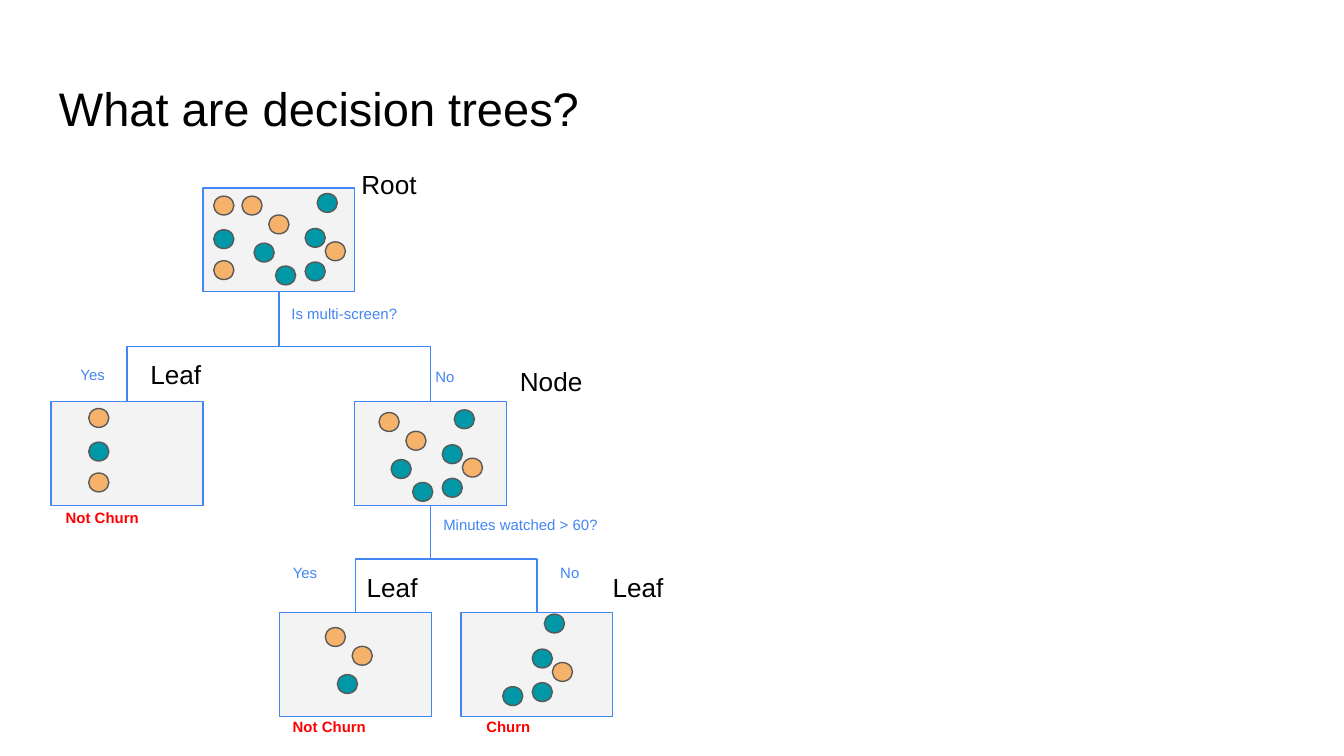
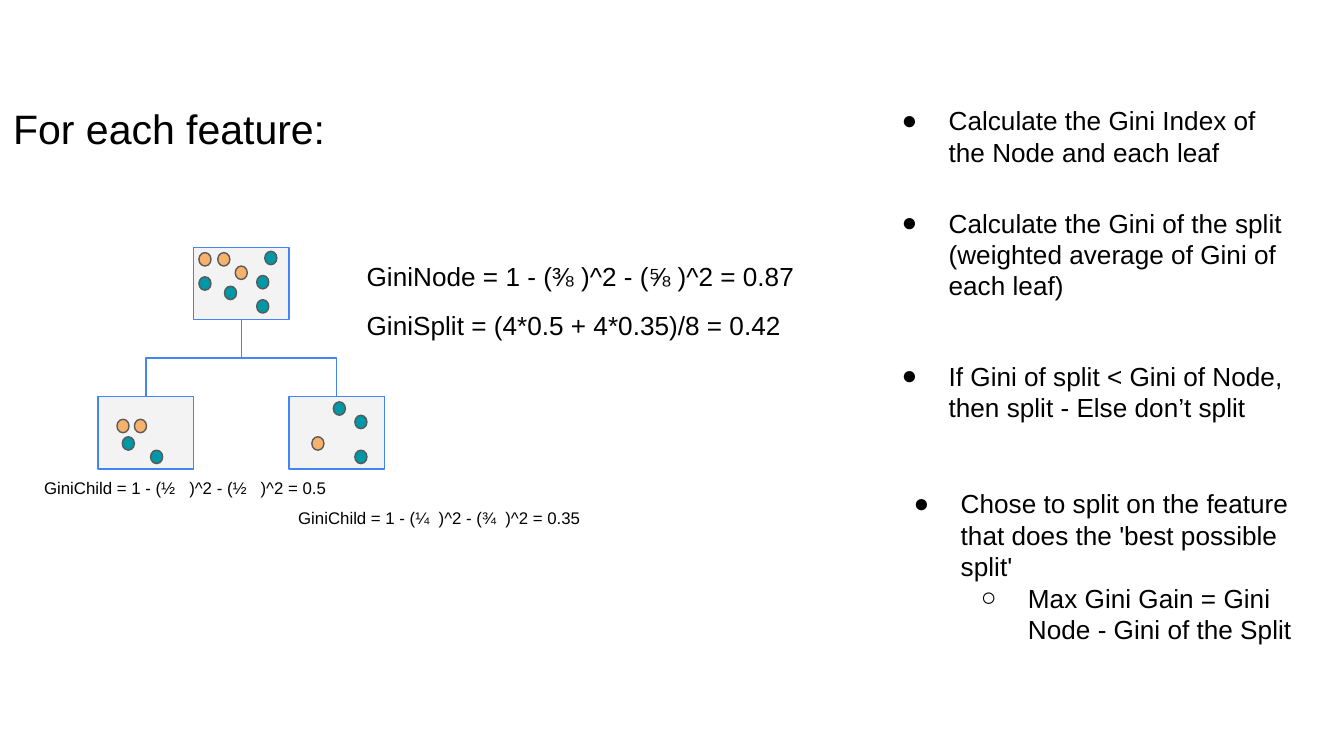
from lxml.etree import SubElement
from pptx import Presentation
from pptx.dml.color import RGBColor
from pptx.enum.shapes import MSO_CONNECTOR, MSO_SHAPE
from pptx.oxml.ns import qn
from pptx.util import Inches, Pt

FONT = "Arial"
BLACK = RGBColor(0x00, 0x00, 0x00)
BLUE = RGBColor(0x42, 0x85, 0xF4)
RED = RGBColor(0xFF, 0x00, 0x00)
BOX_GRAY = RGBColor(0xF3, 0xF3, 0xF3)
OUTLINE_GRAY = RGBColor(0x59, 0x59, 0x59)
ORANGE = RGBColor(0xF6, 0xB2, 0x6B)
TEAL = RGBColor(0x00, 0x97, 0xA7)

BOTTOM, TOP = 2, 0
BULLETS = "●○"
STEP_SIZE = 14

# Customers at their places in the root box, by the leaf they end up in
MULTI_SCREEN = [(1.59, 1.46, ORANGE), (1.59, 1.71, TEAL), (1.59, 1.94, ORANGE)]
LONG_WATCH = [(1.8, 1.46, ORANGE), (2, 1.6, ORANGE), (1.89, 1.81, TEAL)]
SHORT_WATCH = [(2.36, 1.44, TEAL), (2.27, 1.7, TEAL), (2.27, 1.95, TEAL),
               (2.05, 1.98, TEAL), (2.42, 1.8, ORANGE)]

GINI_DOTS = [
    (1.48, 1.88, ORANGE), (1.62, 1.88, ORANGE), (1.97, 1.87, TEAL),
    (1.48, 2.06, TEAL), (1.67, 2.13, TEAL), (1.75, 1.98, ORANGE),
    (1.91, 2.05, TEAL), (1.91, 2.23, TEAL),
    (0.87, 3.12, ORANGE), (1, 3.12, ORANGE), (0.91, 3.25, TEAL), (1.12, 3.35, TEAL),
    (2.32, 3.25, ORANGE), (2.64, 3.09, TEAL), (2.48, 2.99, TEAL), (2.64, 3.35, TEAL),
]

STEPS = [
    (6.46, 0.68, 0.67, ["Calculate the Gini Index of the Node and each leaf"]),
    (6.46, 1.44, 0.91, ["Calculate the Gini of the split (weighted average of Gini of each leaf)"]),
    (6.46, 2.58, 0.67, ["If Gini of split < Gini of Node, then split - Else don’t split"]),
    (6.55, 3.53, 1.38, ["Chose to split on the feature that does the 'best possible split'",
                        "Max Gini Gain = Gini Node - Gini of the Split"]),
]


def add_text(shapes, lines, left, top, width, height, size, color=BLACK, bold=False):
    frame = shapes.add_textbox(Inches(left), Inches(top), Inches(width), Inches(height)).text_frame
    frame.word_wrap = True
    frame.margin_left = frame.margin_right = Inches(0.1)
    frame.margin_top = frame.margin_bottom = Inches(0.1)
    frame.text = "\n".join(lines)
    for paragraph in frame.paragraphs:
        for run in paragraph.runs:
            run.font.name = FONT
            run.font.size = Pt(size)
            run.font.bold = bold
            run.font.color.rgb = color
    return frame


def add_title(shapes, title, left, top, width, height, size):
    add_text(shapes, [title], left, top, width, height, size)


def add_step(shapes, left, top, height, lines):
    """Bulleted text in which every further line is one level deeper."""
    frame = add_text(shapes, lines, left, top, 3.28, height, STEP_SIZE)
    for level, paragraph in enumerate(frame.paragraphs):
        paragraph.level = level
        properties = paragraph._p.get_or_add_pPr()
        properties.set("marL", str(Inches(0.5 * (level + 1))))
        properties.set("indent", str(Inches(-0.35)))
        bullet_color = SubElement(properties, qn("a:buClr"))
        SubElement(bullet_color, qn("a:srgbClr")).set("val", str(BLACK))
        SubElement(properties, qn("a:buSzPts")).set("val", str(STEP_SIZE * 100))
        SubElement(properties, qn("a:buFont")).set("typeface", FONT)
        SubElement(properties, qn("a:buChar")).set("char", BULLETS[level])


def add_outlined(shapes, preset, left, top, size, fill, outline):
    width, height = size
    outlined = shapes.add_shape(preset, Inches(left), Inches(top), Inches(width), Inches(height))
    outlined.shadow.inherit = False
    outlined.fill.solid()
    outlined.fill.fore_color.rgb = fill
    outlined.line.color.rgb = outline
    outlined.line.width = Pt(0.75)
    return outlined


def add_box(shapes, left, top, size):
    return add_outlined(shapes, MSO_SHAPE.RECTANGLE, left, top, size, BOX_GRAY, BLUE)


def add_dots(shapes, dots, size, right=0, down=0):
    """Draw dots, all moved by the same distance."""
    for x, y, color in dots:
        add_outlined(shapes, MSO_SHAPE.OVAL, x + right, y + down, size, color, OUTLINE_GRAY)


def add_branch(shapes, parent, child):
    """Elbow that leaves the parent downwards and enters the child from above."""
    start_x = parent.left + parent.width // 2
    start_y = parent.top + parent.height
    end_x = child.left + child.width // 2
    run, drop = abs(end_x - start_x), child.top - start_y
    branch = shapes.add_connector(MSO_CONNECTOR.ELBOW, start_x, start_y, end_x, child.top)
    branch.begin_connect(parent, BOTTOM)
    branch.end_connect(child, TOP)
    branch.line.color.rgb = BLUE
    branch.line.width = Pt(0.75)
    properties = branch._element.spPr
    SubElement(properties, qn("a:effectLst"))

    # The elbow starts out sideways, so its frame is turned by a quarter
    branch.left = (start_x + end_x - drop) // 2
    branch.top = (start_y + child.top - run) // 2
    branch.width, branch.height = drop, run
    goes_right = end_x > start_x
    frame = properties.find(qn("a:xfrm"))
    frame.set("rot", str((270 if goes_right else 90) * 60000))
    frame.set("flipH", "1" if goes_right else "0")


def build_tree_slide(slide):
    shapes = slide.shapes
    box_size, dot_size = (1.13, 0.77), (0.15, 0.14)
    add_title(shapes, "What are decision trees?", 0.34, 0.49, 9.32, 0.63, 25.2)

    root, multi_leaf, node, long_leaf, short_leaf = [
        add_box(shapes, left, top, box_size)
        for left, top in [(1.51, 1.4), (0.38, 2.99), (2.64, 2.99), (2.08, 4.56), (3.43, 4.56)]
    ]
    for parent, child in [(root, multi_leaf), (root, node), (node, short_leaf), (node, long_leaf)]:
        add_branch(shapes, parent, child)

    add_dots(shapes, MULTI_SCREEN + LONG_WATCH + SHORT_WATCH, dot_size)
    add_dots(shapes, MULTI_SCREEN, dot_size, -0.93, 1.58)
    add_dots(shapes, LONG_WATCH + SHORT_WATCH, dot_size, 1.02, 1.61)
    add_dots(shapes, LONG_WATCH, dot_size, 0.62, 3.21)
    add_dots(shapes, SHORT_WATCH, dot_size, 1.69, 3.13)

    for question, left, top, width in [
        ("Is multi-screen?", 2.07, 2.2, 1.71), ("Yes", 0.5, 2.65, 1.71), ("No", 3.14, 2.67, 1.71),
        ("Minutes watched > 60?", 3.2, 3.77, 2.46), ("Yes", 2.08, 4.13, 1.71), ("No", 4.07, 4.13, 1.71),
    ]:
        add_text(shapes, [question], left, top, width, 0.34, 8, BLUE)
    for outcome, left, top in [("Not Churn", 0.39, 3.72), ("Not Churn", 2.08, 5.27), ("Churn", 3.52, 5.27)]:
        add_text(shapes, [outcome], left, top, 1.13, 0.34, 8, RED, bold=True)
    for role, left, top in [("Root", 2.59, 1.15), ("Node", 3.77, 2.62), ("Leaf", 1.02, 2.57),
                            ("Leaf", 4.46, 4.15), ("Leaf", 2.63, 4.15)]:
        add_text(shapes, [role], left, top, 0.94, 0.44, 14)


def build_gini_slide(slide):
    shapes = slide.shapes
    add_title(shapes, "For each feature:", 0, 0.67, 9.06, 0.57, 22)

    tree = shapes.add_group_shape().shapes
    node, left_leaf, right_leaf = [
        add_box(tree, left, top, (0.71, 0.54))
        for left, top in [(1.44, 1.84), (0.73, 2.95), (2.15, 2.95)]
    ]
    for leaf in (left_leaf, right_leaf):
        add_branch(tree, node, leaf)
    add_dots(tree, GINI_DOTS, (0.09, 0.1))

    for formula, left, top, width, height, size in [
        ("GiniNode = 1 - (⅜ )^2 - (⅝ )^2 = 0.87", 2.63, 1.84, 4.23, 0.44, 14),
        ("GiniSplit = (4*0.5 + 4*0.35)/8 = 0.42", 2.63, 2.2, 4.23, 0.44, 14),
        ("GiniChild = 1 - (½   )^2 - (½   )^2 = 0.5", 0.23, 3.48, 2.7, 0.35, 9),
        ("GiniChild = 1 - (¼  )^2 - (¾  )^2 = 0.35", 2.12, 3.7, 3.28, 0.35, 9),
    ]:
        add_text(shapes, [formula], left, top, width, height, size)
    for step in STEPS:
        add_step(shapes, *step)


def main():
    presentation = Presentation()
    presentation.slide_width = Inches(10)
    presentation.slide_height = Inches(10) * 9 // 16
    blank = presentation.slide_layouts[6]
    for build in (build_tree_slide, build_gini_slide):
        build(presentation.slides.add_slide(blank))
    presentation.save("out.pptx")


if __name__ == "__main__":
    main()
